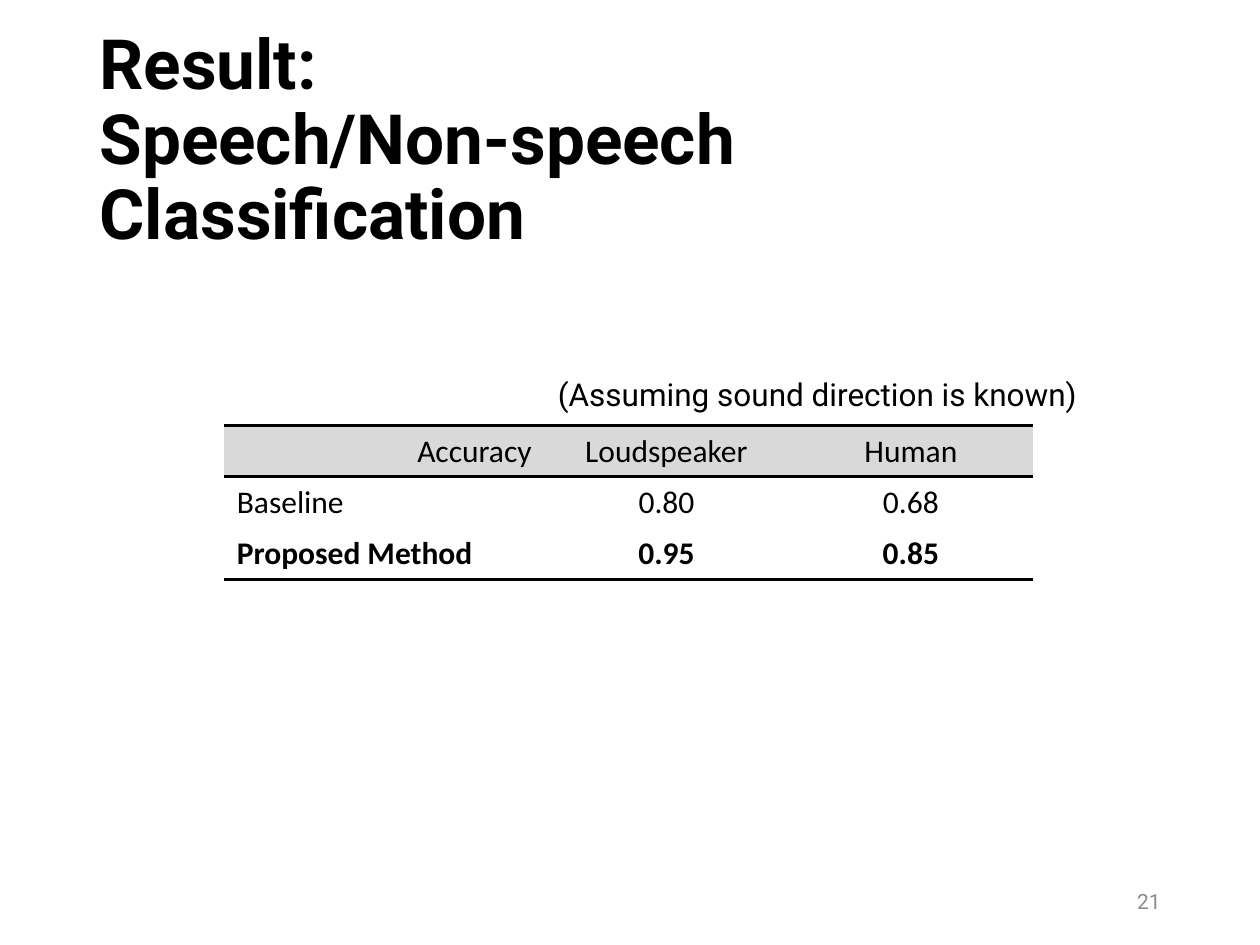
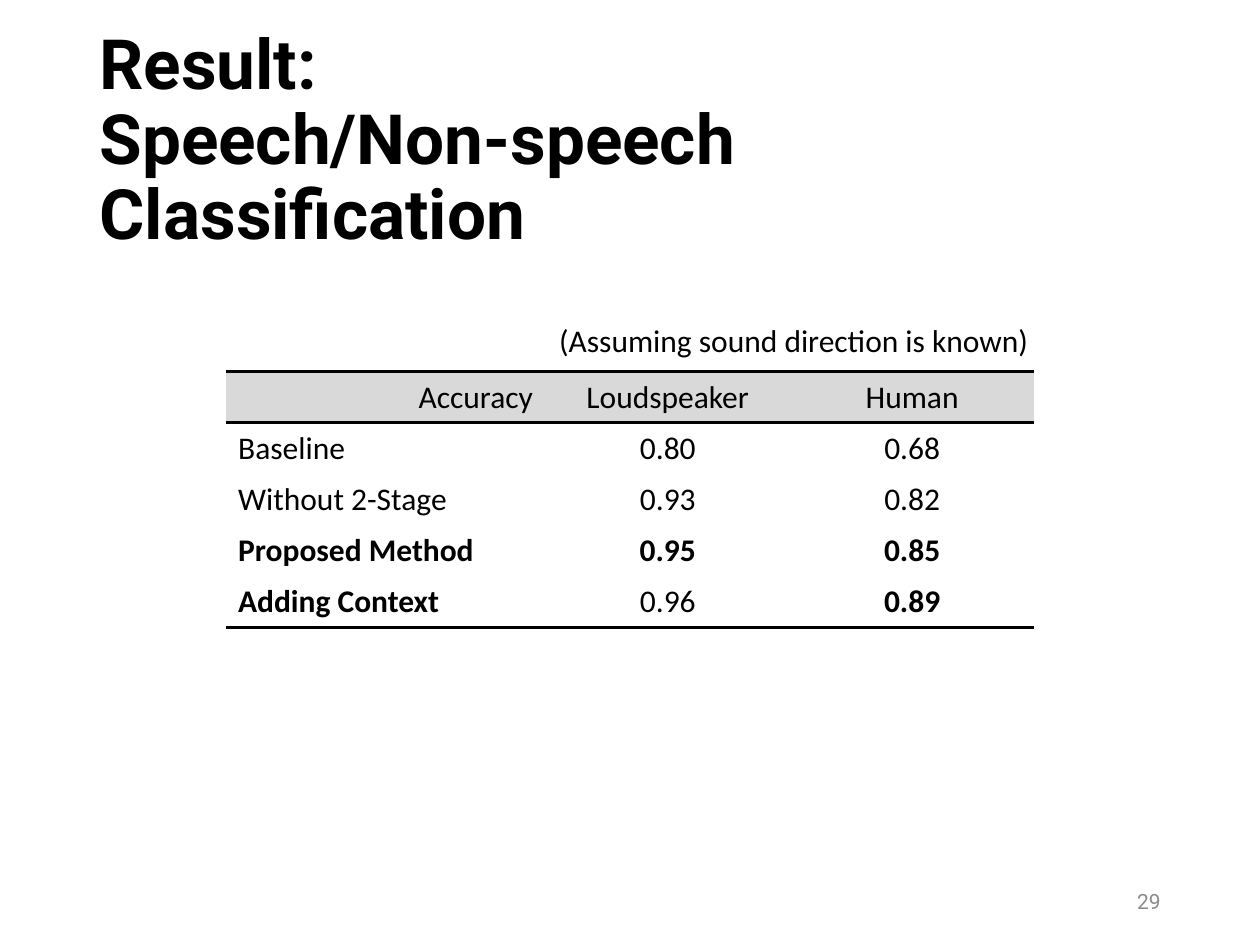
from pptx import Presentation
from pptx.dml.color import RGBColor
from pptx.enum.text import MSO_ANCHOR as ANCHOR, MSO_AUTO_SIZE as AUTO, PP_ALIGN as AL
from pptx.oxml import parse_xml
from pptx.oxml.ns import nsdecls
from pptx.util import Inches, Pt

# Shared look
BLACK, GREY, HEADER = "000000", "8C8C8C", "D9D9D9"
TITLE = "Result:\vSpeech/Non-speech Classification"
NOTE = "(Assuming sound direction is known)"
COL_WIDTHS = (2.54, 1.94, 1.94)
ROW_HEIGHT = 0.405
NO_GRID = "{2D5ABB26-0587-4C30-8999-92F81FD0307C}"


def write(tf, text, color=BLACK, align=AL.LEFT, **font):
    tf.text = text
    p = tf.paragraphs[0]
    p.alignment = align
    for r in p.runs:
        r.font.color.rgb = RGBColor.from_string(color)
        for name, value in font.items():
            setattr(r.font, name, value)


def add_rule(cell, side):
    cell._tc.get_or_add_tcPr().append(parse_xml(
        f'<a:{side} {nsdecls("a")} w="{Pt(2)}"><a:solidFill>'
        f'<a:srgbClr val="{BLACK}"/></a:solidFill></a:{side}>'))


# Each row: label, two accuracies, and which cells are bold
head = ("Accuracy", "Loudspeaker", "Human", (0, 0, 0))
baseline = ("Baseline", "0.80", "0.68", (0, 0, 0))
proposed = ("Proposed Method", "0.95", "0.85", (1, 1, 1))
single = ("Without 2-Stage", "0.93", "0.82", (0, 0, 0))
context = ("Adding Context", "0.96", "0.89", (1, 0, 1))

# Page number, table position, note position, note font, rows
slides = [
    ("21", (1.78, 3.38), (4.33, 2.93), "Roboto", [head, baseline, proposed]),
    ("29", (1.79, 2.95), (4.34, 2.5), "Calibri",
     [head, baseline, single, proposed, context]),
]

prs = Presentation()
prs.slide_width, prs.slide_height = Inches(10), Inches(7.5)

for number, table_at, note_at, note_font, rows in slides:
    s = prs.slides.add_slide(prs.slide_layouts[5])

    # Title
    title = s.shapes.title
    title.left, title.top = Inches(0.69), Inches(0.4)
    title.width, title.height = Inches(8.62), Inches(1.45)
    tf = title.text_frame
    tf.auto_size, tf.word_wrap = AUTO.NONE, True
    tf.vertical_anchor = ANCHOR.MIDDLE
    write(tf, TITLE, name="Roboto", size=Pt(39.6), bold=True)
    tf.paragraphs[0].line_spacing = 0.9

    # Accuracy table, ruled above and below the header and at the foot
    frame = s.shapes.add_table(
        len(rows), len(COL_WIDTHS), *map(Inches, table_at),
        Inches(sum(COL_WIDTHS)), Inches(ROW_HEIGHT * len(rows)))
    table = frame.table
    table.first_row = table.horz_banding = False
    table._tbl.tblPr.find("{*}tableStyleId").text = NO_GRID
    for column, width in zip(table.columns, COL_WIDTHS):
        column.width = Inches(width)
    for i, (*texts, bolds) in enumerate(rows):
        for j, (text, bold) in enumerate(zip(texts, bolds)):
            cell = table.cell(i, j)
            align = AL.CENTER if j else AL.LEFT if i else AL.RIGHT
            write(cell.text_frame, text, align=align,
                  name="Calibri", size=Pt(18), bold=bool(bold))
            if i == 0:
                add_rule(cell, "lnT")
            if i in (0, len(rows) - 1):
                add_rule(cell, "lnB")
            if i == 0:
                cell.fill.solid()
                cell.fill.fore_color.rgb = RGBColor.from_string(HEADER)
            else:
                cell.fill.background()

    # Page number
    tf = s.shapes.add_textbox(
        Inches(7.06), Inches(6.95), Inches(2.25), Inches(0.4)).text_frame
    tf.word_wrap, tf.vertical_anchor = True, ANCHOR.MIDDLE
    write(tf, number, GREY, AL.RIGHT, name="Roboto", size=Pt(12))

    # Note above the table
    tf = s.shapes.add_textbox(
        *map(Inches, note_at), Inches(5.87), Inches(0.4)).text_frame
    tf.word_wrap, tf.auto_size = True, AUTO.SHAPE_TO_FIT_TEXT
    write(tf, NOTE, name=note_font, size=Pt(18))

prs.save("out.pptx")
